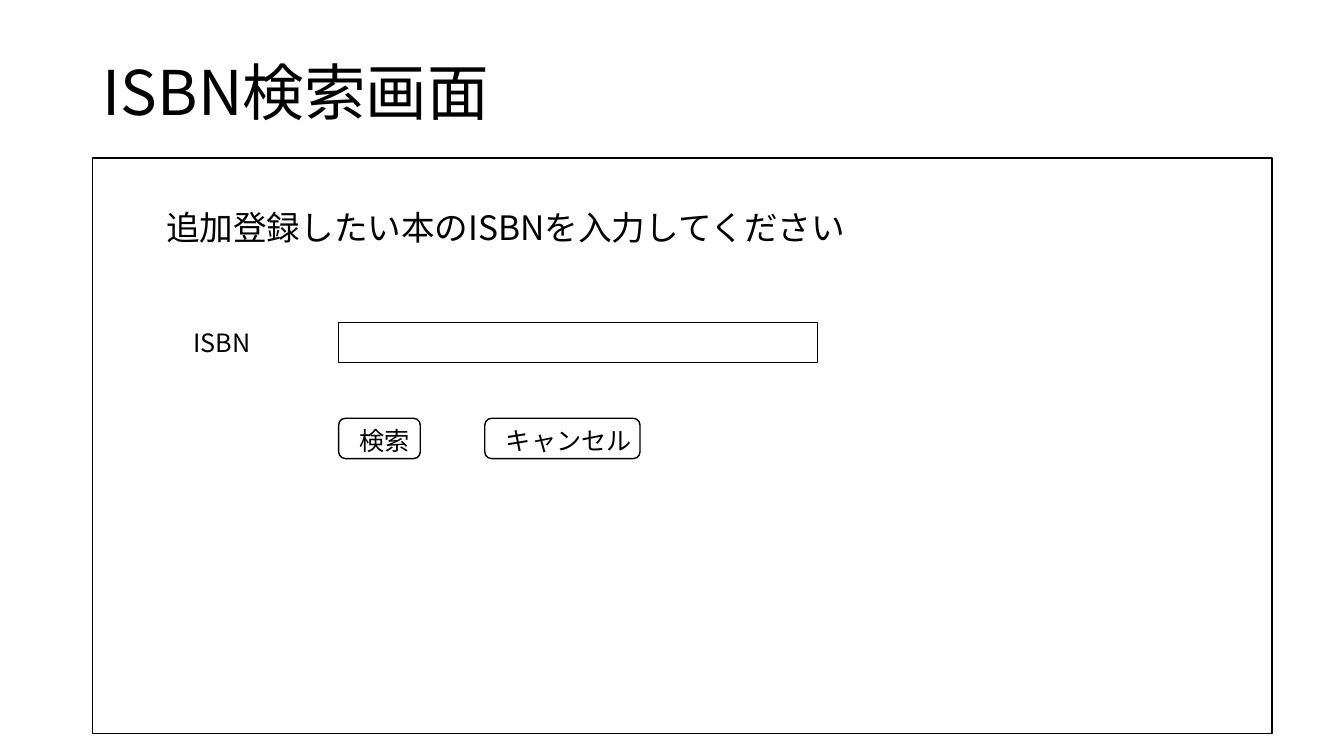
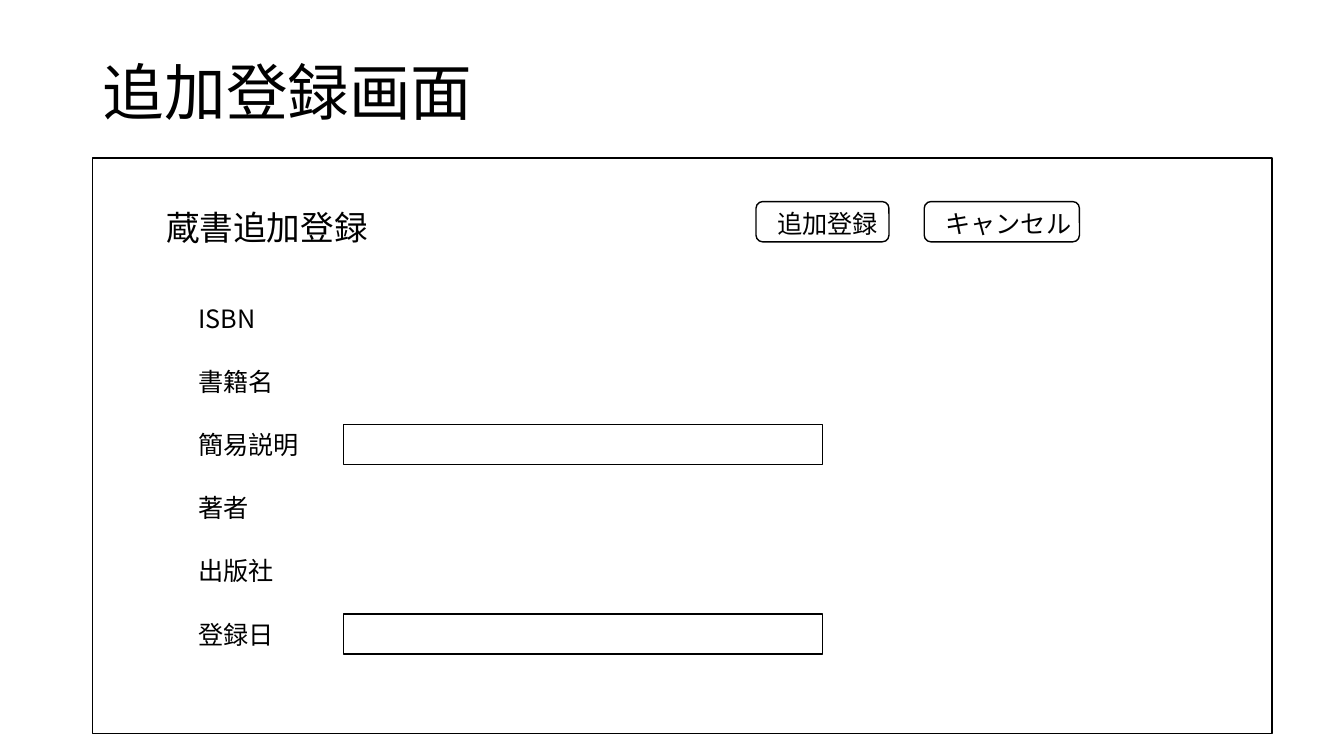
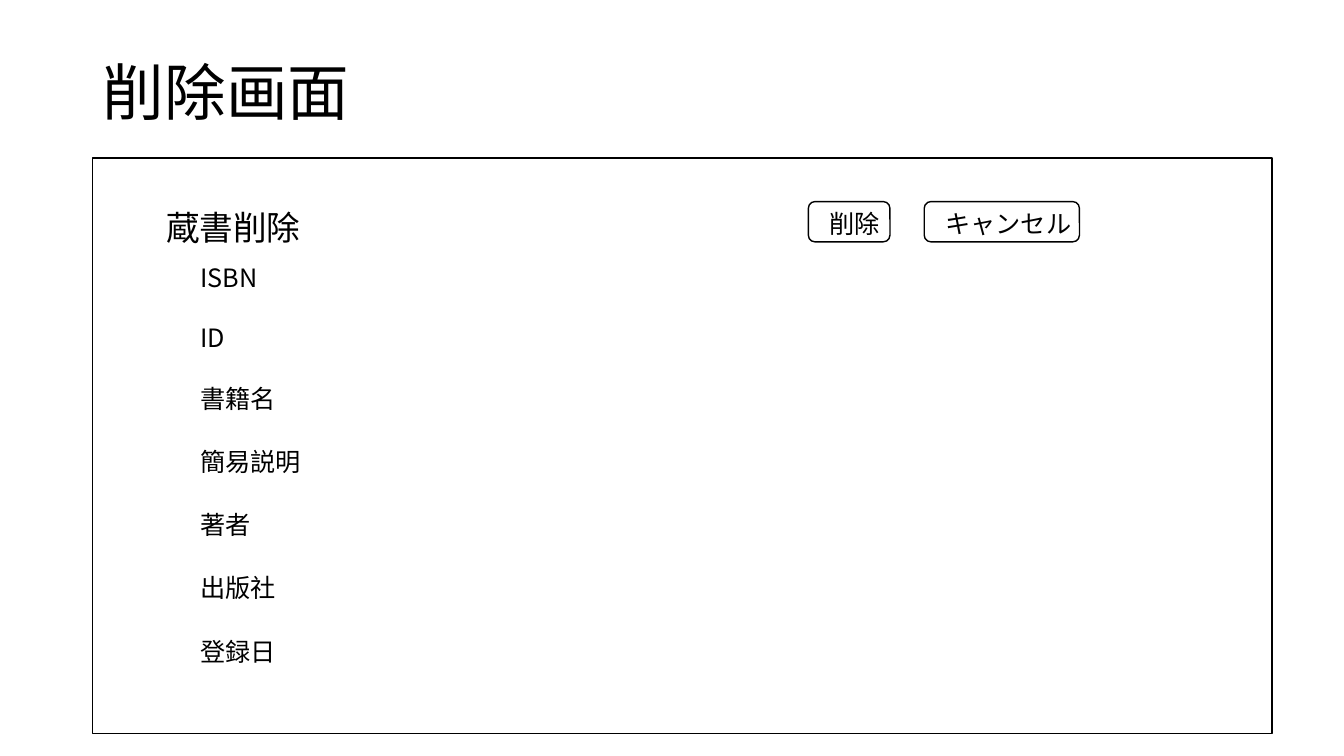
from lxml.etree import SubElement
from pptx import Presentation
from pptx.dml.color import RGBColor
from pptx.enum.shapes import MSO_SHAPE as Kind
from pptx.enum.text import MSO_ANCHOR as Anchor, MSO_AUTO_SIZE as Fit, PP_ALIGN as Align
from pptx.oxml.ns import qn
from pptx.util import Pt

INK = RGBColor(0, 0, 0)
PAPER = RGBColor(255, 255, 255)
FACE = "Noto Sans CJK JP"

FRAME = (66.24, 113, 842.4, 411.1)
TITLE = (66.24, 15.84, 828, 104.4)
ROW = 28.8
FIELD_GAP, FIELD_WIDTH = 110.9, 342
CANCEL = ("キャンセル", 110.9)

SCREENS = [
    {
        "title": "ISBN検索画面",
        "head": ("追加登録したい本のISBNを入力してください", 516.2),
        "top": 298.8,
        "buttons": [(241.9, "検索", 58.3), (346.3, *CANCEL)],
        "left": 131, "width": 128.2,
        "groups": [(230.4, 0, ["ISBN"])],
        "fields": ["ISBN"],
    },
    {
        "title": "追加登録画面",
        "head": ("蔵書追加登録", 180),
        "top": 144,
        "buttons": [(540, "追加登録", 95), (660.2, *CANCEL)],
        "left": 134.6, "width": 128.2,
        "groups": [(213, 45.1, ["ISBN", "書籍名", "簡易説明", "著者", "出版社", "登録日"])],
        "fields": ["簡易説明", "登録日"],
    },
    {
        "title": "削除画面",
        "head": ("蔵書削除", 180),
        "top": 144,
        "buttons": [(577.4, "削除", 58.3), (660.2, *CANCEL)],
        "left": 136, "width": 87.8,
        "groups": [
            (183.6, 43.2, ["ISBN", "ID"]),
            (270, 45.2, ["書籍名", "簡易説明", "著者", "出版社", "登録日"]),
        ],
        "fields": [],
    },
]


def write(frame, text, size):
    frame.text = text
    line = frame.paragraphs[0]
    line.alignment = Align.LEFT
    line.font.size = Pt(size)
    line.font.color.rgb = INK
    line.font.name = FACE
    font = line._p.pPr.find(qn("a:defRPr"))
    SubElement(font, qn("a:ea")).set("typeface", FACE)
    return line


def box(slide, kind, *area):
    shape = slide.shapes.add_shape(kind, *map(Pt, area))
    shape.shadow.inherit = False
    shape.fill.solid()
    shape.fill.fore_color.rgb = PAPER
    shape.line.color.rgb = INK
    shape.line.width = Pt(1)
    return shape


def label(slide, text, size, *area):
    frame = slide.shapes.add_textbox(*map(Pt, area)).text_frame
    frame.word_wrap = True
    frame.auto_size = Fit.SHAPE_TO_FIT_TEXT
    write(frame, text, size)


def button(slide, left, top, text, width):
    frame = box(slide, Kind.ROUNDED_RECTANGLE, left, top, width, ROW).text_frame
    frame.vertical_anchor = Anchor.TOP
    frame.margin_left = Pt(13.7)
    frame.margin_right = 0
    write(frame, text, 18)


def build(deck, layout, screen):
    slide = deck.slides.add_slide(layout)
    write(slide.shapes.title.text_frame, screen["title"], 44).line_spacing = 0.9
    box(slide, Kind.RECTANGLE, *FRAME)
    text, width = screen["head"]
    label(slide, text, 24, 111.6, 144, width, 36)
    for left, text, width in screen["buttons"]:
        button(slide, left, screen["top"], text, width)
    left = screen["left"]
    for start, pitch, names in screen["groups"]:
        for i, name in enumerate(names):
            top = start + i * pitch
            label(slide, name, 18, left, top, screen["width"], ROW)
            if name in screen["fields"]:
                box(slide, Kind.RECTANGLE, left + FIELD_GAP, top, FIELD_WIDTH, ROW)


deck = Presentation()
deck.slide_width, deck.slide_height = Pt(960), Pt(540)
layout = deck.slide_layouts[5]
title = layout.placeholders[0]
title.left, title.top, title.width, title.height = map(Pt, TITLE)
title.text_frame.vertical_anchor = Anchor.MIDDLE
for screen in SCREENS:
    build(deck, layout, screen)
deck.save("out.pptx")
